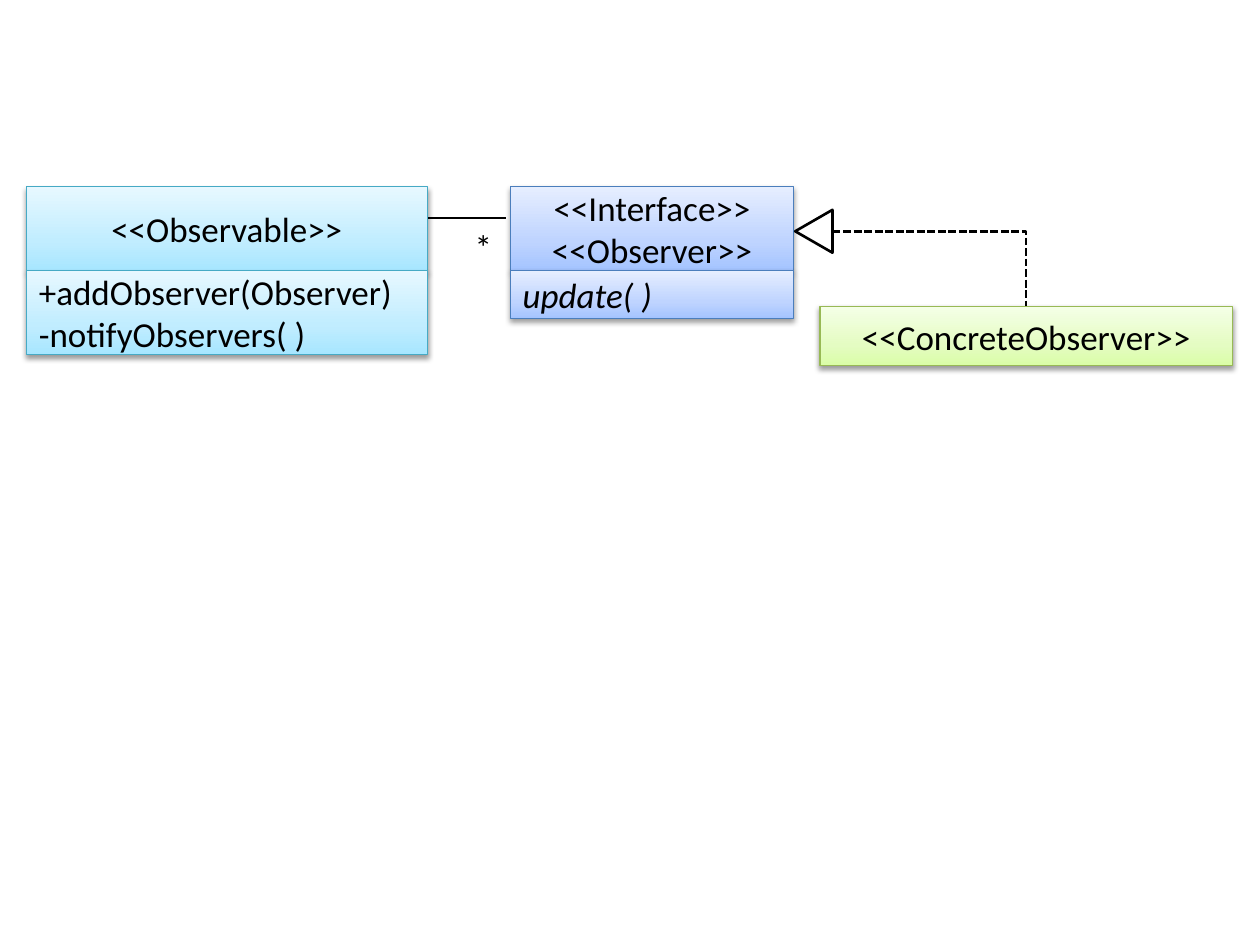
from copy import deepcopy

from lxml import etree
from pptx import Presentation
from pptx.dml.color import RGBColor
from pptx.enum.dml import MSO_LINE
from pptx.enum.shapes import MSO_CONNECTOR, MSO_SHAPE
from pptx.enum.text import MSO_ANCHOR, PP_ALIGN
from pptx.oxml.ns import qn
from pptx.util import Pt

RECTANGLE, TRIANGLE = MSO_SHAPE.RECTANGLE, MSO_SHAPE.ISOSCELES_TRIANGLE
STRAIGHT, ELBOW = MSO_CONNECTOR.STRAIGHT, MSO_CONNECTOR.ELBOW
LEFT, CENTER = PP_ALIGN.LEFT, PP_ALIGN.CENTER
MIDDLE = MSO_ANCHOR.MIDDLE
SHORT_DASH = MSO_LINE.SQUARE_DOT

COLORS = {
    "ink": "000000",
    "blue line": "4B7EBC", "blue": ("A4C4FF", "BFD4FF", "E6EEFF"),
    "green line": "98B955", "green": ("DAFDA7", "E4FCC2", "F5FFE7"),
    "cyan line": "46AAC5", "cyan": ("A7E6FF", "C1EDFF", "E7F8FF"),
}
STOP_POSITIONS = (0, 0.35, 1)


def rgb(value):
    return RGBColor.from_string(value)


class ClassDiagram:
    font_name = "Calibri"
    font_size = 20
    box_line = 0.75
    relation_line = 1.5

    def __init__(self, slide):
        self.slide = slide

    def fill_text(self, frame, lines, align, italic=False):
        frame.word_wrap = True
        for index, line in enumerate(lines):
            paragraph = frame.add_paragraph() if index else frame.paragraphs[0]
            paragraph.text = line
            paragraph.alignment = align
            paragraph.font.name = self.font_name
            paragraph.font.size = Pt(self.font_size)
            paragraph.font.italic = italic
            paragraph.font.color.rgb = rgb(COLORS["ink"])

    def shade(self, shape, tones):
        shape.fill.gradient()
        shape.fill.gradient_angle = 90
        stop_list = shape._element.spPr.find(".//" + qn("a:gsLst"))
        stop_list.append(deepcopy(stop_list[0]))
        for stop, position, tone in zip(shape.fill.gradient_stops, STOP_POSITIONS, tones):
            stop.position = position
            stop.color.rgb = rgb(tone)

    def drop_shadow(self, shape):
        shape.shadow.inherit = False
        effects = shape._element.spPr.find(qn("a:effectLst"))
        shadow = etree.SubElement(effects, qn("a:outerShdw"), blurRad=str(Pt(3.1)),
                                  dist=str(Pt(1.6)), dir="5400000", rotWithShape="0")
        color = etree.SubElement(shadow, qn("a:srgbClr"), val=COLORS["ink"])
        etree.SubElement(color, qn("a:alpha"), val="38000")

    def box(self, left, top, width, height, color, lines, align=CENTER, italic=False):
        shape = self.slide.shapes.add_shape(RECTANGLE, Pt(left), Pt(top), Pt(width), Pt(height))
        self.shade(shape, COLORS[color])
        shape.line.color.rgb = rgb(COLORS[color + " line"])
        shape.line.width = Pt(self.box_line)
        self.drop_shadow(shape)
        shape.text_frame.vertical_anchor = MIDDLE
        self.fill_text(shape.text_frame, lines, align, italic)
        return shape

    def label(self, left, top, width, height, text):
        shape = self.slide.shapes.add_textbox(Pt(left), Pt(top), Pt(width), Pt(height))
        self.fill_text(shape.text_frame, [text], CENTER)

    def relation(self, kind, start, end):
        connector = self.slide.shapes.add_connector(kind, *map(Pt, start + end))
        connector.line.color.rgb = rgb(COLORS["ink"])
        connector.line.width = Pt(self.relation_line)
        etree.SubElement(connector._element.spPr, qn("a:effectLst"))
        return connector

    def realization(self, start, end, target):
        connector = self.relation(ELBOW, start, end)
        connector._element.spPr.find(qn("a:prstGeom")).set("prst", "bentConnector2")
        connector.line.dash_style = SHORT_DASH
        connector.end_connect(target, 0)

    def inheritance_head(self, left, top, width, height):
        shape = self.slide.shapes.add_shape(TRIANGLE, Pt(left), Pt(top), Pt(width), Pt(height))
        shape.rotation = 270
        shape.shadow.inherit = False
        shape.fill.background()
        shape.line.color.rgb = rgb(COLORS["ink"])
        shape.line.width = Pt(self.relation_line)


def main():
    presentation = Presentation()
    presentation.slide_width, presentation.slide_height = Pt(720), Pt(540)
    diagram = ClassDiagram(presentation.slides.add_slide(presentation.slide_layouts[6]))

    top, row = 106.6, 48
    members_top = top + row
    observer_left, observer_width = 291.6, 162
    observable_left, observable_width = 15.1, 229
    concrete_left, concrete_top, concrete_width = 468.5, 175, 235.8

    diagram.box(observer_left, top, observer_width, row, "blue",
                ["<<Interface>>", "<<Observer>>"])
    diagram.relation(STRAIGHT, (205.2, 124.6), (289.2, 124.6))
    concrete = diagram.box(concrete_left, concrete_top, concrete_width, 34, "green",
                           ["<<ConcreteObserver>>"])
    diagram.box(observer_left, members_top, observer_width, 27.5, "blue",
                ["update( )"], LEFT, italic=True)
    diagram.box(observable_left, top, observable_width, row, "cyan", ["<<Observable>>"])
    diagram.box(observable_left, members_top, observable_width, row, "cyan",
                ["+addObserver(Observer)", "-notifyObservers( )"], LEFT)
    diagram.label(261.4, 125.3, 29.5, 31.5, "*")
    diagram.realization((475.8, 132.2), (concrete_left + concrete_width / 2, concrete_top),
                        concrete)
    diagram.inheritance_head(452.8, 121.5, 24.5, 21.3)

    presentation.save("out.pptx")


if __name__ == "__main__":
    main()
